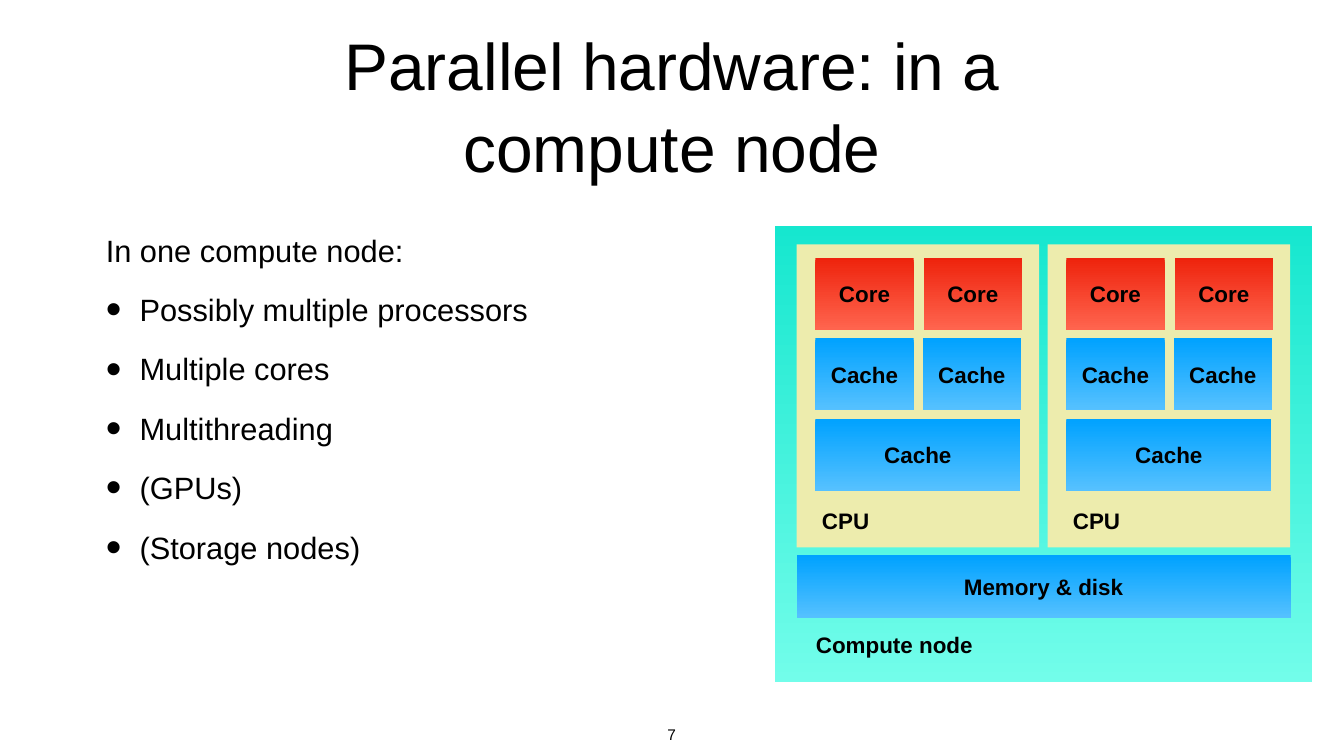
from dataclasses import dataclass

import lxml.etree
import pptx
import pptx.dml.color
import pptx.enum.shapes
import pptx.enum.text
import pptx.oxml.ns
import pptx.util

PX = 9144  # EMU, 100 px to the inch
INSET = 8 * PX
FONT = "Arial"
LINE_SPACING = 1.04
LABEL_SIZE = 32

COLORS = {
    "text": "000000",
    "cpu": "EDECAD",
    "node_top": "16E7CF",
    "node_bottom": "72FDEA",
    "core_top": "EE230C",
    "core_bottom": "FF644E",
    "memory_top": "00A2FF",
    "memory_bottom": "56C1FF",
}

ALIGN = pptx.enum.text.PP_ALIGN
ANCHOR = pptx.enum.text.MSO_ANCHOR


@dataclass(frozen=True)
class Box:
    left: int
    top: int
    width: int
    height: int

    def emu(self) -> tuple[int, ...]:
        return tuple(v * PX for v in (self.left, self.top, self.width, self.height))

    def shifted(self, dx: int) -> "Box":
        return Box(self.left + dx, self.top, self.width, self.height)


@dataclass(frozen=True)
class Unit:
    """A hardware part: its place, its colour name and its centred label."""
    box: Box
    color: str
    label: str = ""


UNIT_W, UNIT_H = 195, 143
CPU = Box(1581, 485, 481, 601)
CPU_PITCH = 498
UNIT_LEFT = 1618
CPU_UNITS = [
    Unit(CPU, "cpu"),
    *[Unit(Box(UNIT_LEFT + i * 215, 511, UNIT_W, UNIT_H), "core", "Core") for i in range(2)],
    *[Unit(Box(UNIT_LEFT + i * 213, 671, UNIT_W, UNIT_H), "memory", "Cache") for i in range(2)],
    Unit(Box(UNIT_LEFT, 831, 407, UNIT_H), "memory", "Cache"),
]
CPU_LABEL = Box(1623, 998, 113, 69)
NODE = Unit(Box(1538, 448, 1066, 906), "node")
MEMORY = Unit(Box(CPU.left, 1102, 980, 125), "memory", "Memory & disk")

TOPICS = [
    "Possibly multiple processors",
    "Multiple cores",
    "Multithreading",
    "(GPUs)",
    "(Storage nodes)",
]


def rgb(name: str) -> pptx.dml.color.RGBColor:
    return pptx.dml.color.RGBColor.from_string(COLORS[name])


def write(frame, lines: list[str], size: float, align=ALIGN.CENTER,
          anchor=ANCHOR.MIDDLE, bold: bool = False, wrap: bool = True) -> None:
    frame.margin_left = frame.margin_right = INSET
    frame.margin_top = frame.margin_bottom = INSET
    frame.word_wrap = wrap
    frame.vertical_anchor = anchor
    frame.text = "\n".join(lines)
    for paragraph in frame.paragraphs:
        paragraph.alignment = align
        for run in paragraph.runs:
            run.font.name = FONT
            run.font.size = pptx.util.Pt(size)
            run.font.bold = bold
            run.font.color.rgb = rgb("text")


def add_text(slide, box: Box, lines: list[str], size: float, **style):
    frame = slide.shapes.add_textbox(*box.emu()).text_frame
    write(frame, lines, size, **style)
    return frame


def add_label(slide, box: Box, label: str) -> None:
    add_text(slide, box, [label], LABEL_SIZE, align=ALIGN.LEFT, bold=True, wrap=False)


def add_unit(slide, unit: Unit) -> None:
    rectangle = slide.shapes.add_shape(
        pptx.enum.shapes.MSO_SHAPE.RECTANGLE, *unit.box.emu())
    rectangle.shadow.inherit = False
    rectangle.line.fill.background()
    if unit.color in COLORS:
        rectangle.fill.solid()
        rectangle.fill.fore_color.rgb = rgb(unit.color)
    else:
        rectangle.fill.gradient()
        rectangle.fill.gradient_angle = 270
        for stop, end in zip(rectangle.fill.gradient_stops, ("top", "bottom")):
            stop.color.rgb = rgb(f"{unit.color}_{end}")
    if unit.label:
        write(rectangle.text_frame, [unit.label], LABEL_SIZE, bold=True)


def add_bullet(paragraph) -> None:
    properties = paragraph._p.get_or_add_pPr()
    properties.set("marL", str(67 * PX))
    properties.set("indent", str(-67 * PX))
    for tag, attribute, value in (("a:buSzPct", "val", "145000"),
                                  ("a:buFont", "typeface", FONT),
                                  ("a:buChar", "char", "•")):
        lxml.etree.SubElement(properties, pptx.oxml.ns.qn(tag)).set(attribute, value)


def main() -> None:
    deck = pptx.Presentation()
    deck.slide_width, deck.slide_height = 2667 * PX, 1500 * PX
    slide = deck.slides.add_slide(deck.slide_layouts[6])

    title = add_text(slide, Box(480, 39, 1707, 332),
                     ["Parallel hardware: in a compute node"], 94.1)
    title.paragraphs[0].line_spacing = LINE_SPACING

    body = add_text(slide, Box(202, 448, 1116, 906), ["In one compute node:", *TOPICS],
                    44, align=ALIGN.LEFT, anchor=ANCHOR.TOP)
    for paragraph in body.paragraphs:
        paragraph.space_before = pptx.util.Pt(30)
        paragraph.line_spacing = LINE_SPACING
    for topic in body.paragraphs[1:]:
        add_bullet(topic)

    add_text(slide, Box(1316, 1430, 34, 52), ["7"], 22, anchor=ANCHOR.TOP, wrap=False)

    add_unit(slide, NODE)
    for shift in (0, CPU_PITCH):
        for unit in CPU_UNITS:
            add_unit(slide, Unit(unit.box.shifted(shift), unit.color, unit.label))
        add_label(slide, CPU_LABEL.shifted(shift), "CPU")
    add_unit(slide, MEMORY)
    add_label(slide, Box(1611, 1244, 331, 69), "Compute node")

    deck.save("out.pptx")


if __name__ == "__main__":
    main()
